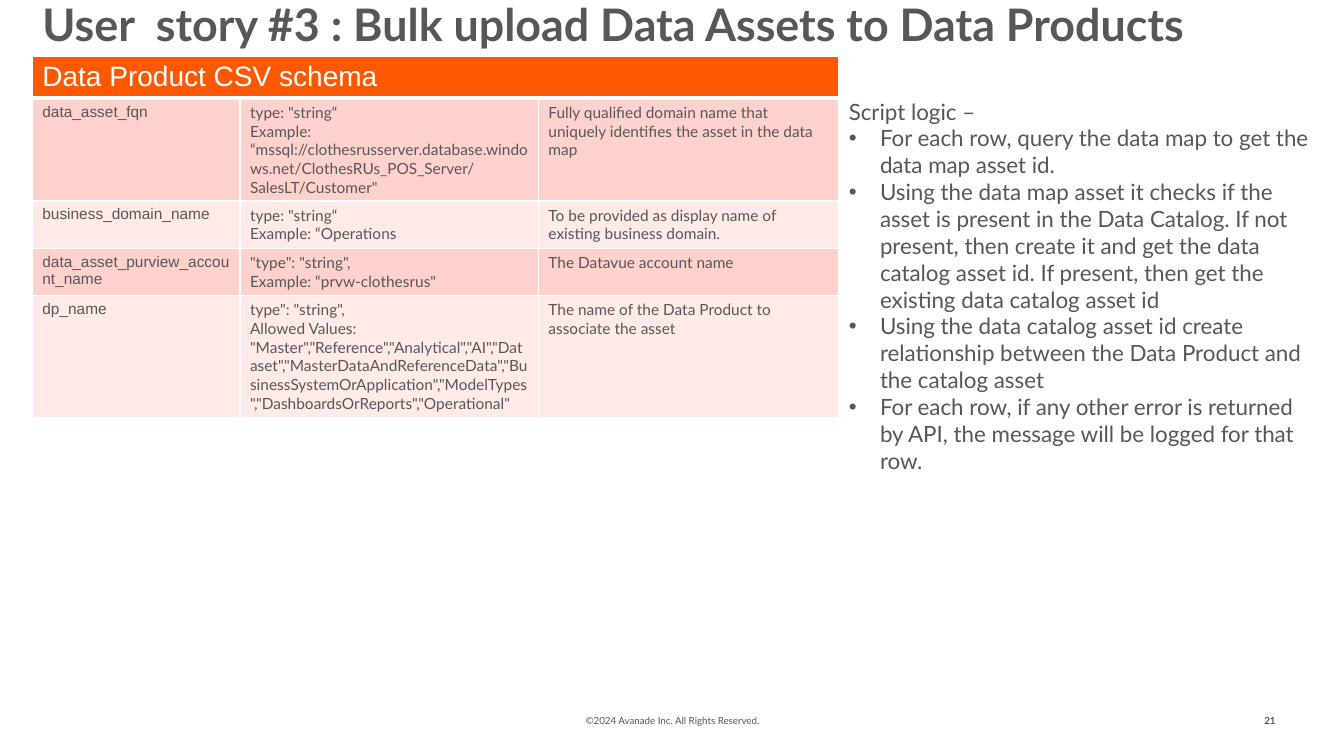
from lxml import etree
from pptx import Presentation
from pptx.dml.color import RGBColor
from pptx.enum.shapes import MSO_SHAPE
from pptx.enum.text import MSO_ANCHOR, PP_ALIGN
from pptx.oxml.ns import qn
from pptx.util import Inches, Pt

RECTANGLE = MSO_SHAPE.RECTANGLE
TOP, MIDDLE = MSO_ANCHOR.TOP, MSO_ANCHOR.MIDDLE
LEFT, CENTER, RIGHT = PP_ALIGN.LEFT, PP_ALIGN.CENTER, PP_ALIGN.RIGHT
GREY = RGBColor(0x57, 0x57, 0x57)
WHITE = RGBColor(0xFF, 0xFF, 0xFF)
ORANGE = RGBColor(0xFF, 0x58, 0x00)
ROSE = RGBColor(0xFF, 0xD1, 0xCC)
BLUSH = RGBColor(0xFF, 0xEA, 0xE7)

COLUMN_WIDTHS = [2.06, 2.96, 2.98]
ROW_HEIGHTS = [0.4, 1.02, 0.47, 0.47, 1.21]
SCHEMA = [
    ("data_asset_fqn",
     'type: "string“\nExample: “mssql://clothesrusserver.database.windows.net/'
     'ClothesRUs_POS_Server/SalesLT/Customer"',
     "Fully qualified domain name that uniquely identifies the asset in the data map"),
    ("business_domain_name",
     'type: "string“\nExample: “Operations',
     "To be provided as display name of existing business domain."),
    ("data_asset_purview_account_name",
     '"type": "string",\nExample: “prvw-clothesrus"',
     "The Datavue account name"),
    ("dp_name",
     'type": "string",\nAllowed Values: "Master","Reference","Analytical","AI","Dataset",'
     '"MasterDataAndReferenceData","BusinessSystemOrApplication","ModelTypes",'
     '"DashboardsOrReports","Operational"',
     "The name of the Data Product to associate the asset"),
]
LOGIC_STEPS = [
    "For each row, query the data map to get the data map asset id.",
    "Using the data map asset it checks if the asset is present in the Data Catalog. "
    "If not present, then create it and get the data catalog asset id. "
    "If present, then get the existing data catalog asset id",
    "Using the data catalog asset id create relationship between the Data Product "
    "and the catalog asset",
    "For each row, if any other error is returned by API, the message will be logged "
    "for that row.",
]


def place(shape, box):
    """Move a shape to a box given as left, top, width and height in inches."""
    shape.left, shape.top, shape.width, shape.height = map(Inches, box)


def style(para, size, color=GREY, name="Lato", bold=False, align=LEFT):
    """Set the font and alignment of one paragraph."""
    para.alignment = align
    para.font.size = Pt(size)
    para.font.name = name
    para.font.bold = bold
    para.font.color.rgb = color


def add_title(page, box):
    """Fill and format the title placeholder."""
    title = page.shapes.title
    place(title, box)
    frame = title.text_frame
    frame.text = "User  story #3 : Bulk upload Data Assets to Data Products"
    frame.vertical_anchor = TOP
    style(frame.paragraphs[0], 32, bold=True)


def fill_text(shape, lines, size, anchor=TOP, **font):
    """Write wrapping lines into a shape and return its paragraphs."""
    frame = shape.text_frame
    frame.word_wrap = True
    frame.vertical_anchor = anchor
    frame.text = "\n".join(lines)
    for para in frame.paragraphs:
        style(para, size, **font)
    return frame.paragraphs


def add_bullet(para, indent):
    """Give a paragraph a hanging round bullet."""
    properties = para._p.get_or_add_pPr()
    properties.set("marL", str(Inches(indent)))
    properties.set("indent", str(-Inches(indent)))
    for tag, attributes in (("a:buFont", {"typeface": "Arial"}), ("a:buChar", {"char": "•"})):
        element = etree.Element(qn(tag), attributes)
        properties.insert_element_before(element, "a:tabLst", "a:defRPr", "a:extLst")


def add_logic(page, box):
    """Add the script logic heading and its bulleted steps."""
    logic = page.shapes.add_textbox(*map(Inches, box))
    for para in fill_text(logic, ["Script logic –", *LOGIC_STEPS], 16)[1:]:
        add_bullet(para, 0.31)


def paint_cell(cell, color, bottom_width):
    """Give a cell white borders and a solid fill."""
    properties = cell._tc.get_or_add_tcPr()
    for side, width in (("L", 1), ("R", 1), ("T", 1), ("B", bottom_width)):
        line = etree.SubElement(properties, qn(f"a:ln{side}"), w=str(Pt(width)))
        fill = etree.SubElement(line, qn("a:solidFill"))
        etree.SubElement(fill, qn("a:srgbClr"), val=str(WHITE))
    cell.fill.solid()
    cell.fill.fore_color.rgb = color


def add_schema(page, box):
    """Add the schema table with a merged header and banded rows."""
    table = page.shapes.add_table(
        len(ROW_HEIGHTS), len(COLUMN_WIDTHS), *map(Inches, box)).table
    table.first_row = table.horz_banding = False
    for column, width in zip(table.columns, COLUMN_WIDTHS):
        column.width = Inches(width)
    for row, height in zip(table.rows, ROW_HEIGHTS):
        row.height = Inches(height)

    header = table.cell(0, 0)
    header.merge(table.cell(0, len(COLUMN_WIDTHS) - 1))
    header.text = "Data Product CSV schema"
    style(header.text_frame.paragraphs[0], 20, WHITE, "Arial")
    for cell in table.rows[0].cells:
        cell.margin_bottom = Inches(0.03)
        paint_cell(cell, ORANGE, 3)
        style(cell.text_frame.paragraphs[0], 20, WHITE, "Arial")

    for row, texts in enumerate(SCHEMA, 1):
        for column, text in enumerate(texts):
            cell = table.cell(row, column)
            cell.text = text
            paint_cell(cell, ROSE if row % 2 else BLUSH, 1)
            for para in cell.text_frame.paragraphs:
                style(para, 11, name="Lato" if column else "Arial")


def add_footer(page, top, height):
    """Add the copyright band and the page number."""
    band = page.shapes.add_shape(RECTANGLE, *map(Inches, (4.42, top, 4.5, height)))
    band.shadow.inherit = False
    band.fill.solid()
    band.fill.fore_color.rgb = WHITE
    band.line.fill.background()
    fill_text(band, ["©2024 Avanade Inc. All Rights Reserved."], 7, MIDDLE, align=CENTER)
    number = page.shapes.add_textbox(*map(Inches, (12.27, top, 0.48, height)))
    fill_text(number, ["21"], 7, MIDDLE, bold=True, align=RIGHT)


def main():
    """Build the slide and save the deck."""
    deck = Presentation()
    deck.slide_width, deck.slide_height = Inches(13.33), Inches(7.5)
    page = deck.slides.add_slide(deck.slide_layouts[5])
    add_footer(page, 6.95, 0.4)
    add_title(page, (0.32, -0.08, 12.25, 0.71))
    add_logic(page, (8.32, 0.92, 4.87, 5.33))
    add_schema(page, (0.32, 0.56, sum(COLUMN_WIDTHS), sum(ROW_HEIGHTS)))
    deck.save("out.pptx")


if __name__ == "__main__":
    main()
